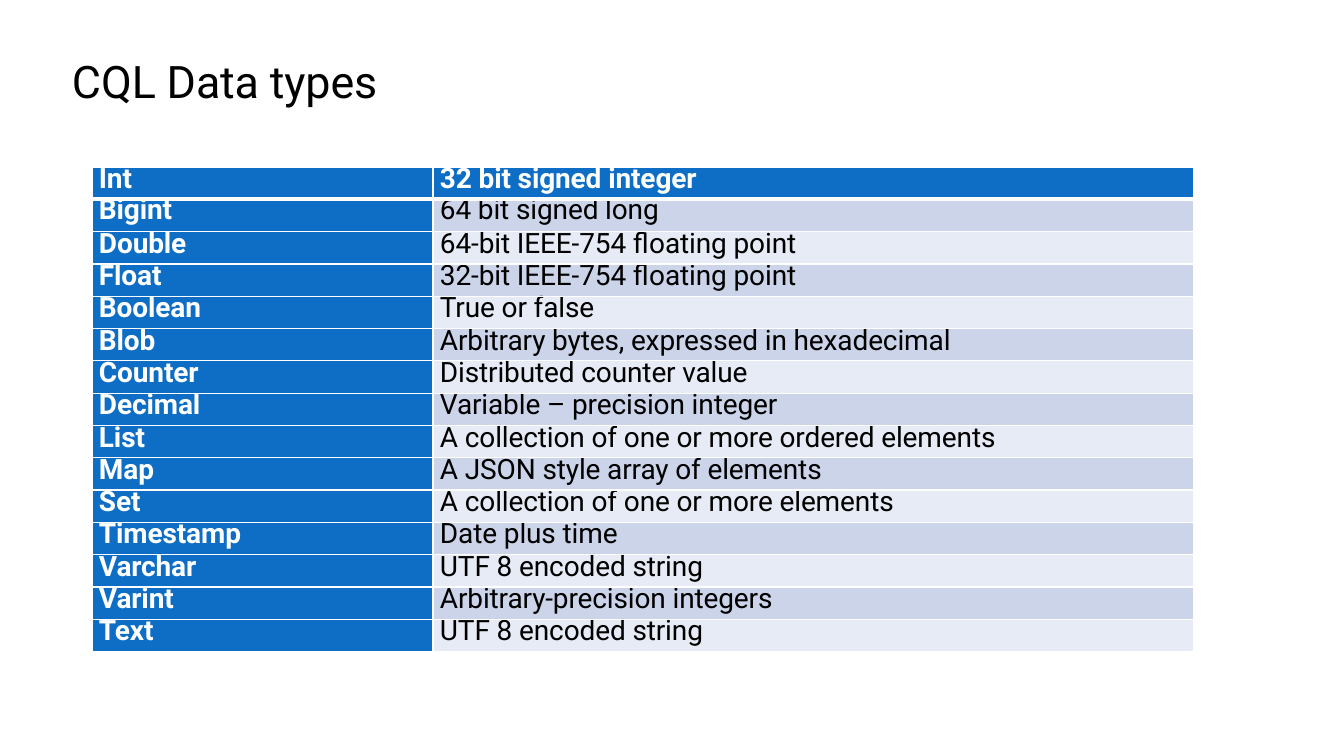
from dataclasses import dataclass

from lxml import etree
from pptx import Presentation
from pptx.dml.color import RGBColor
from pptx.enum.text import MSO_ANCHOR, MSO_AUTO_SIZE, PP_ALIGN
from pptx.oxml.ns import qn
from pptx.util import Pt

LEFT = PP_ALIGN.LEFT
TOP, MIDDLE = MSO_ANCHOR.TOP, MSO_ANCHOR.MIDDLE
GROW = MSO_AUTO_SIZE.SHAPE_TO_FIT_TEXT
PX = 914400 / 100.8
TITLE_ONLY = 5


@dataclass(frozen=True)
class Theme:
    font: str = "Roboto"
    title_size: int = 32
    cell_size: int = 20
    black: str = "000000"
    white: str = "FFFFFF"
    blue: str = "0E6EC5"
    bands: tuple = ("E7EBF5", "CCD4EA")
    thin: int = 1
    thick: int = 3


THEME = Theme()

DATA_TYPES = [
    ("Int", "32 bit signed integer"),
    ("Bigint", "64 bit signed long"),
    ("Double", "64-bit IEEE-754 floating point"),
    ("Float", "32-bit IEEE-754 floating point"),
    ("Boolean", "True or false"),
    ("Blob", "Arbitrary bytes, expressed in hexadecimal"),
    ("Counter", "Distributed counter value"),
    ("Decimal", "Variable – precision integer"),
    ("List", "A collection of one or more ordered elements"),
    ("Map", "A JSON style array of elements"),
    ("Set", "A collection of one or more elements"),
    ("Timestamp", "Date plus time"),
    ("Varchar", "UTF 8 encoded string"),
    ("Varint", "Arbitrary-precision integers"),
    ("Text", "UTF 8 encoded string"),
]


def write_text(para, text, size, color, bold, indent):
    """Add one left-aligned run, indented by whole pixels."""
    para.alignment = LEFT
    para._p.get_or_add_pPr().set("marL", str(round(indent * PX)))
    span = para.add_run()
    span.text = text
    span.font.name = THEME.font
    span.font.size = Pt(size)
    span.font.bold = bold
    span.font.color.rgb = RGBColor.from_string(color)
    span._r.get_or_add_rPr().set("spc", "-10")


def draw_borders(cell, top, bottom):
    """Draw white cell borders; top and bottom widths are in points."""
    widths = {"a:lnL": THEME.thin, "a:lnR": THEME.thin, "a:lnT": top, "a:lnB": bottom}
    properties = cell._tc.get_or_add_tcPr()
    for place, (tag, width) in enumerate(widths.items()):
        line = etree.Element(qn(tag), w=str(Pt(width)))
        fill = etree.SubElement(line, qn("a:solidFill"))
        etree.SubElement(fill, qn("a:srgbClr"), val=THEME.white)
        properties.insert(place, line)


deck = Presentation()
deck.slide_width, deck.slide_height = round(1344 * PX), round(756 * PX)
slide = deck.slides.add_slide(deck.slide_layouts[TITLE_ONLY])

# Title
title = slide.shapes.title
title.left, title.top, title.width, title.height = (round(n * PX) for n in (71, 54, 876, 54))
frame = title.text_frame
frame.margin_left = frame.margin_top = frame.margin_right = frame.margin_bottom = 0
frame.vertical_anchor = MIDDLE
frame.word_wrap = True
frame.auto_size = GROW
write_text(frame.paragraphs[0], "CQL Data types", THEME.title_size, THEME.black, False, 1)

# Table of data types: blue first row and first column, banded descriptions
box = [round(n * PX) for n in (92, 167, 1102, 485)]
table = slide.shapes.add_table(len(DATA_TYPES), 2, *box).table
for column, width in zip(table.columns, (341, 761)):
    column.width = round(width * PX)

for row, entry in enumerate(DATA_TYPES):
    table.rows[row].height = box[3] // len(DATA_TYPES)
    for col, text in enumerate(entry):
        heading = row == 0 or col == 0
        cell = table.cell(row, col)
        cell.margin_left = cell.margin_top = cell.margin_right = cell.margin_bottom = 0
        cell.vertical_anchor = TOP
        cell.fill.solid()
        cell.fill.fore_color.rgb = RGBColor.from_string(THEME.blue if heading else THEME.bands[row % 2])
        draw_borders(
            cell,
            top=THEME.thick if row == 1 else THEME.thin,
            bottom=THEME.thick if row == 0 else THEME.thin,
        )
        para = cell.text_frame.paragraphs[0]
        para.line_spacing = Pt(19.4 if row == 1 else 20.4)
        write_text(para, text, THEME.cell_size, THEME.white if heading else THEME.black, heading, 7)

deck.save("out.pptx")
